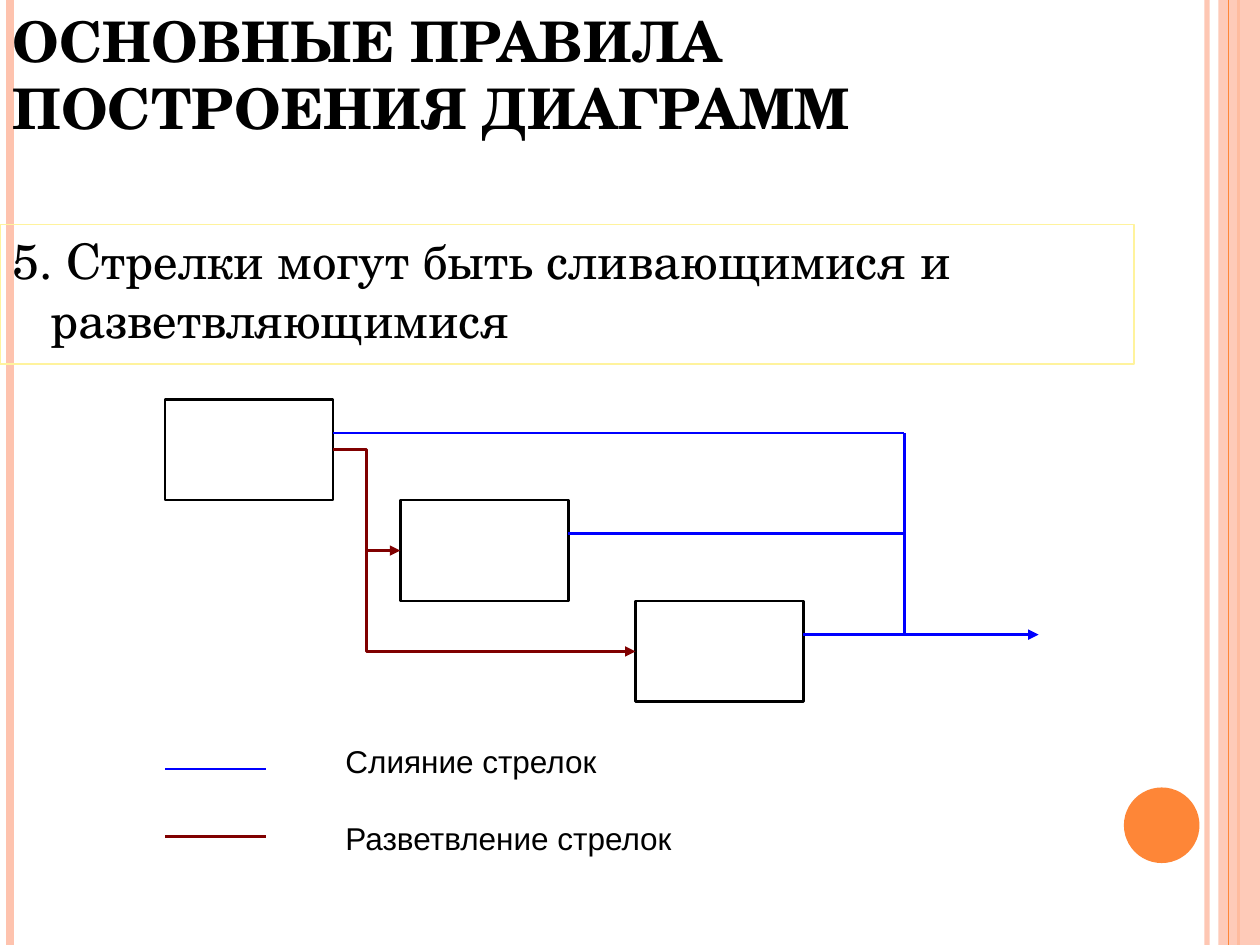
from dataclasses import dataclass

from lxml.etree import SubElement
from pptx import Presentation
from pptx.dml.color import RGBColor
from pptx.enum.shapes import MSO_CONNECTOR as Link, MSO_SHAPE as Shape
from pptx.enum.text import MSO_ANCHOR as Anchor, MSO_AUTO_SIZE as AutoSize, PP_ALIGN as Align
from pptx.oxml.ns import qn
from pptx.util import Inches, Pt

BLACK = RGBColor(0x00, 0x00, 0x00)
WHITE = RGBColor(0xFF, 0xFF, 0xFF)
ORANGE = RGBColor(0xFE, 0x86, 0x37)
PEACH = RGBColor(0xFE, 0xC3, 0xAE)
YELLOW = RGBColor(0xFF, 0xF3, 0x9D)
MERGE_BLUE = RGBColor(0x00, 0x00, 0xFF)
BRANCH_RED = RGBColor(0x80, 0x00, 0x00)
SERIF, SANS = "TeX Gyre Schola", "Arial"

WIDTH, HEIGHT = 10, 7.5
# Diagram grid: origin and module in inches
GRID_LEFT, GRID_TOP, MODULE = 1.31, 3.17, 0.8 / 3
BLOCK_COLS, BLOCK_ROWS, BLOCK_STEP = 5, 3, 7


@dataclass
class Stripe:
    x: float  # share of the slide width
    color: RGBColor
    weight: float
    opacity: int = 100


@dataclass
class Arrow:
    start: tuple[float, float]  # column, row
    end: tuple[float, float]
    color: RGBColor = MERGE_BLUE
    head: bool = False


STRIPES_BEHIND = [
    Stripe(0.958, PEACH, 3, 93),
    Stripe(0.008, PEACH, 4.5),
    Stripe(0.983, ORANGE, 1.5),
]
EDGE_STRIPE = Stripe(0.975, ORANGE, 0.75)

MERGE_COL = 22
STRAIGHT_ARROWS = [
    Arrow((19, 7), (26, 7), head=True),
    Arrow((5, 1), (MERGE_COL, 1)),
    Arrow((MERGE_COL, 1), (MERGE_COL, 7)),
    Arrow((12, 4), (MERGE_COL, 4)),
    # Legend samples
    Arrow((0, 11), (3, 11)),
    Arrow((0, 13), (3, 13), BRANCH_RED),
]


def col(c: float) -> int:
    return Inches(GRID_LEFT + c * MODULE)


def row(r: float) -> int:
    return Inches(GRID_TOP + r * MODULE)


def set_opacity(fill_parent, percent: int) -> None:
    color = fill_parent.find(".//" + qn("a:srgbClr"))
    SubElement(color, qn("a:alpha"), val=str(percent * 1000))


def add_line(x1, y1, x2, y2, color: RGBColor, weight: float,
             head: bool = False, kind=Link.STRAIGHT):
    line = slide.shapes.add_connector(kind, x1, y1, x2, y2)
    line.line.color.rgb = color
    line.line.width = Pt(weight)
    if head:
        SubElement(line.line._get_or_add_ln(), qn("a:tailEnd"), type="triangle")
    SubElement(line._element.spPr, qn("a:effectLst"))
    return line


def add_stripe(stripe: Stripe) -> None:
    x = Inches(stripe.x * WIDTH)
    line = add_line(x, 0, x, Inches(HEIGHT), stripe.color, stripe.weight)
    if stripe.opacity < 100:
        set_opacity(line._element.spPr, stripe.opacity)


def add_arrow(arrow: Arrow, kind=Link.STRAIGHT):
    (c1, r1), (c2, r2) = arrow.start, arrow.end
    return add_line(col(c1), row(r1), col(c2), row(r2), arrow.color, 1.5, arrow.head, kind)


def add_filled(kind, left, top, width, height, fill: RGBColor, outline: RGBColor | None = None):
    shape = slide.shapes.add_shape(kind, left, top, width, height)
    shape.shadow.inherit = False
    shape.fill.solid()
    shape.fill.fore_color.rgb = fill
    if outline is None:
        shape.line.fill.background()
    else:
        shape.line.color.rgb = outline
        shape.line.width = Pt(1.5)
    return shape


def write(frame, text: str, font: str, size: float, anchor=Anchor.TOP, bold: bool = False) -> None:
    frame.text = text
    frame.word_wrap = True
    frame.auto_size = AutoSize.NONE
    frame.vertical_anchor = anchor
    for paragraph in frame.paragraphs:
        paragraph.alignment = Align.LEFT
        for run in paragraph.runs:
            run.font.name, run.font.size, run.font.bold = font, Pt(size), bold
            run.font.color.rgb = BLACK


presentation = Presentation()
presentation.slide_width, presentation.slide_height = Inches(WIDTH), Inches(HEIGHT)
slide = presentation.slides.add_slide(presentation.slide_layouts[5])

# Side decoration
for stripe in STRIPES_BEHIND:
    add_stripe(stripe)
edge_band = add_filled(Shape.RECTANGLE, Inches(9.67), 0, Inches(0.33), Inches(HEIGHT), PEACH)
set_opacity(edge_band._element.spPr, 87)
add_stripe(EDGE_STRIPE)
add_filled(Shape.OVAL, Inches(8.92), Inches(6.25), Inches(0.6), Inches(0.6), ORANGE)

# Title, moved in front of the decoration
title = slide.shapes.title
title.left, title.top, title.width, title.height = 0, Inches(0.3), Inches(0.9 * WIDTH), Inches(0.87)
write(title.text_frame, "ОСНОВНЫЕ ПРАВИЛА ПОСТРОЕНИЯ ДИАГРАММ", SERIF, 32, Anchor.BOTTOM, True)
slide.shapes._spTree.append(title._element)

# Rule with a hanging indent
rule = slide.shapes.add_textbox(0, Inches(1.78), Inches(0.9 * WIDTH), Inches(1.11))
rule.line.color.rgb = YELLOW
rule.line.width = Pt(0.75)
write(rule.text_frame, "5. Стрелки могут быть сливающимися и разветвляющимися", SERIF, 28)
rule_properties = rule.text_frame.paragraphs[0]._p.get_or_add_pPr()
rule_properties.set("marL", str(Inches(0.3)))
rule_properties.set("indent", str(Inches(-0.3)))

# Staircase of blocks
blocks = [
    add_filled(Shape.RECTANGLE, col(i * BLOCK_STEP), row(i * BLOCK_ROWS),
               Inches(BLOCK_COLS * MODULE), Inches(BLOCK_ROWS * MODULE), WHITE, BLACK)
    for i in range(3)
]

# Branching arrows
first_branch = add_arrow(Arrow((5, 1.5), (7, 4.5), BRANCH_RED, True), Link.ELBOW)
first_branch.begin_connect(blocks[0], 3)
first_branch.end_connect(blocks[1], 1)
second_branch = add_arrow(Arrow((6, 4), (14, 7.5), BRANCH_RED, True), Link.ELBOW)
second_branch.end_connect(blocks[2], 1)
# Bend at the very start, so that the line goes down first
bend = second_branch._element.spPr.find(qn("a:prstGeom")).find(qn("a:avLst"))
SubElement(bend, qn("a:gd"), name="adj1", fmla="val 0")

# Merging arrows and legend samples
for arrow in STRAIGHT_ARROWS:
    add_arrow(arrow)

# Legend
legend = add_filled(Shape.RECTANGLE, col(5), row(10), Inches(17 * MODULE), Inches(4 * MODULE), WHITE)
write(legend.text_frame, "Слияние стрелок\nРазветвление стрелок", SANS, 18)
legend.text_frame.paragraphs[1].space_before = Pt(22.5)

presentation.save("out.pptx")
